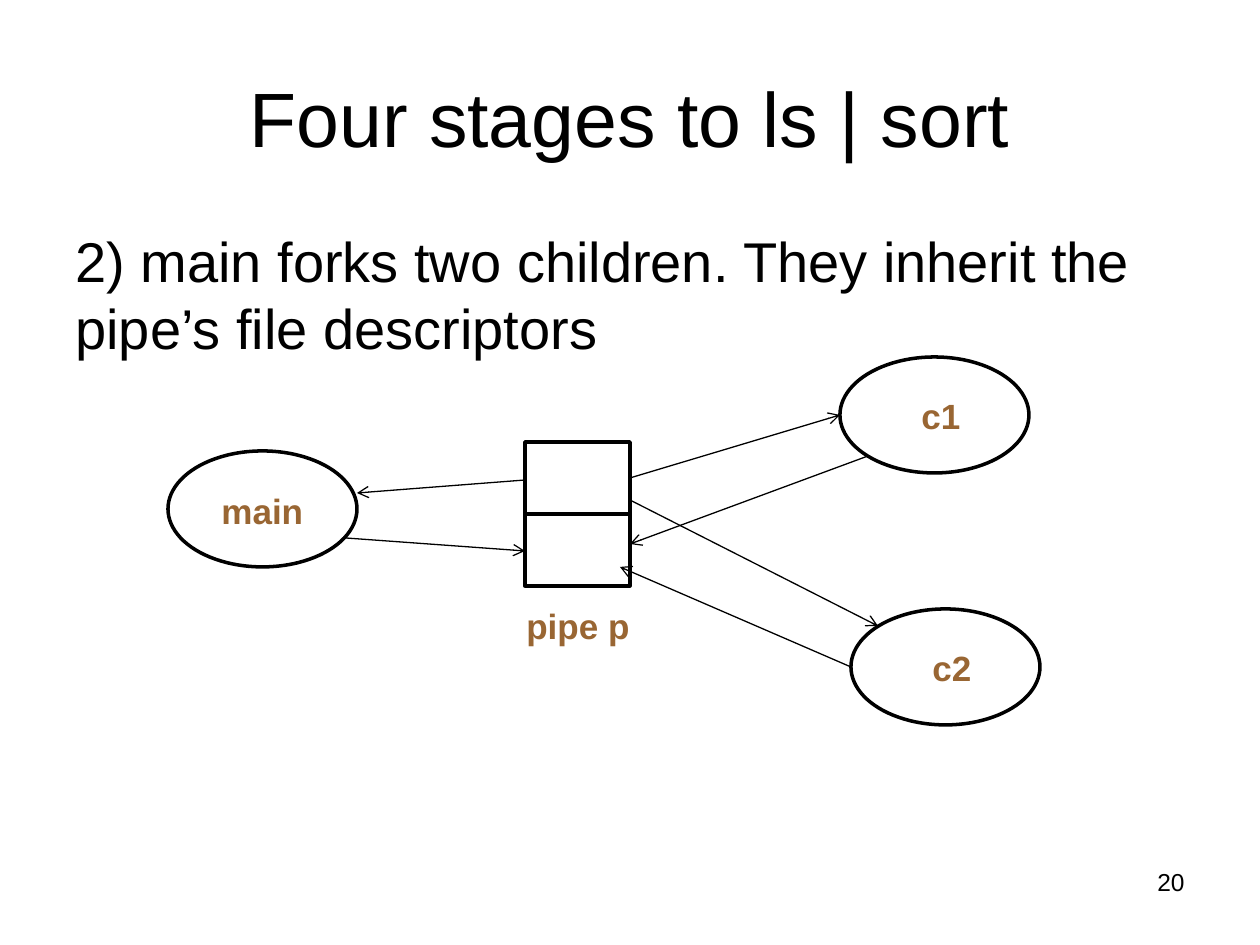
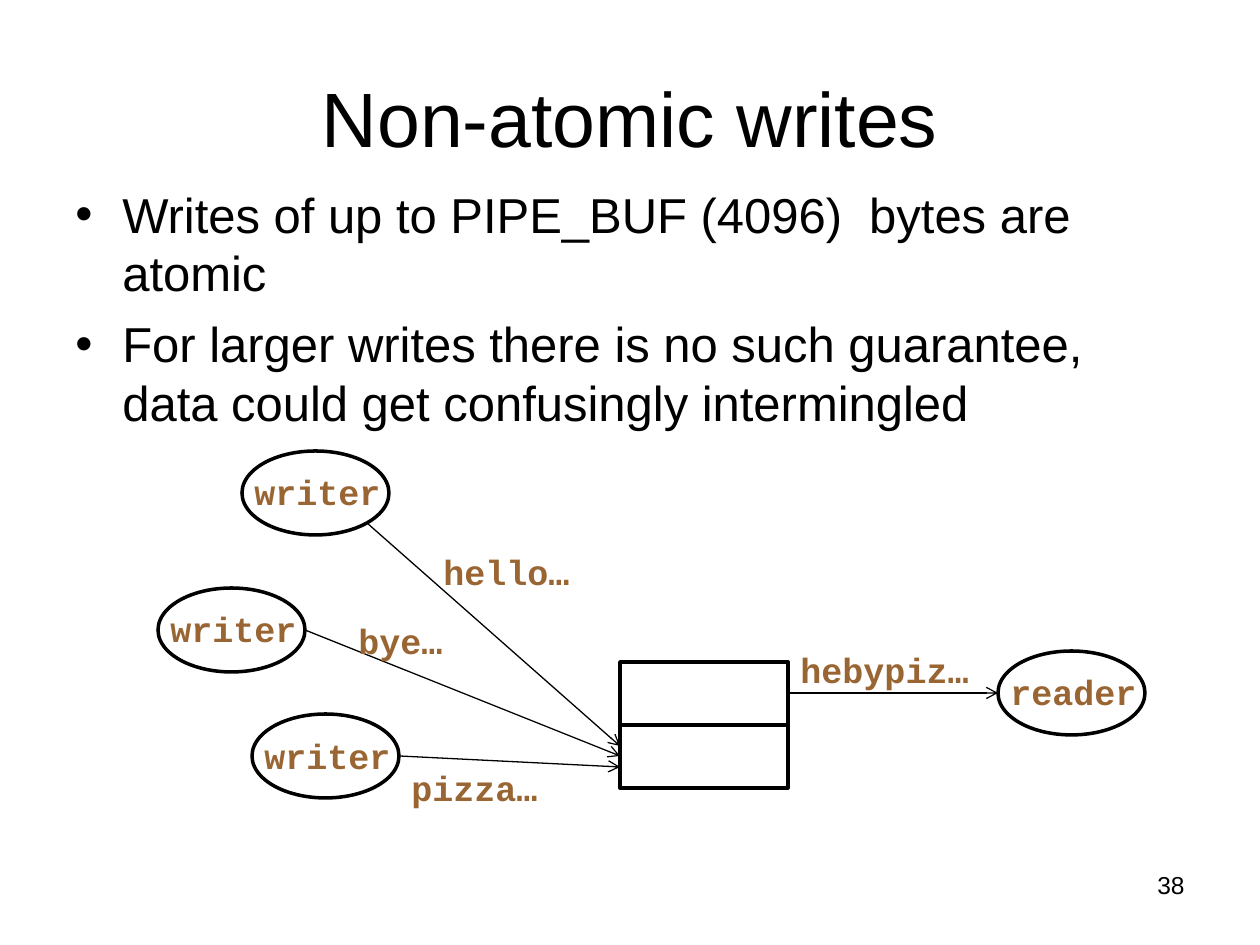
from lxml.etree import SubElement
from pptx import Presentation
from pptx.dml.color import RGBColor
from pptx.enum.shapes import MSO_CONNECTOR, MSO_SHAPE
from pptx.enum.text import MSO_ANCHOR, PP_ALIGN
from pptx.oxml.ns import qn
from pptx.util import Emu, Pt

PX = 914400 // 126
COLORS = {"ink": "000000", "paper": "FFFFFF", "label": "996633"}
LINE_HEIGHT = {"Arial": 1.2, "Courier New": 1.32}
TITLE_BOX = (63, 38, 1134, 157)
BULLET_INDENT = 47
LABEL_HEIGHT = 55

# Boxes are (left, top, width, height); labels are (text, left, top, width, indent);
# arrows are (from x, from y, to x, to y). All lengths are px.
SLIDES = [
    {
        "title": "Four stages to ls | sort",
        "body": ["2) main forks two children. They inherit the pipe’s file descriptors"],
        "body_box": (63, 220, 1134, 624),
        "body_size": 32,
        "space_before": 8,
        "bulleted": False,
        "number": "20",
        "number_box": (903, 861, 294, 66),
        "pipe": (525, 442, 105, 144),
        "process_size": (189, 116),
        "processes": [(168, 451), (840, 357), (851, 609)],
        "label_font": "Arial",
        "labels": [
            ("main", 189, 483, 220, 20),
            ("pipe p", 514, 598, 210, 0),
            ("c1", 861, 388, 220, 48),
            ("c2", 872, 640, 220, 48),
        ],
        "arrows": [
            (525, 480, 357, 493),
            (346, 538, 525, 551),
            (630, 478, 840, 415),
            (868, 456, 630, 544),
            (630, 500, 878, 626),
            (851, 667, 620, 567),
        ],
    },
    {
        "title": "Non-atomic writes",
        "body": [
            "Writes of up to PIPE_BUF (4096)  bytes are atomic",
            "For larger writes there is no such guarantee, "
            "data could get confusingly intermingled",
        ],
        "body_box": (63, 178, 1134, 624),
        "body_size": 28,
        "space_before": 7,
        "bulleted": True,
        "number": "38",
        "number_box": (903, 864, 294, 50),
        "pipe": (620, 662, 168, 126),
        "process_size": (147, 84),
        "processes": [(242, 451), (158, 588), (252, 714), (998, 651)],
        "label_font": "Courier New",
        "labels": [
            ("hello…", 431, 540, 220, 0),
            ("bye…", 346, 609, 220, 0),
            ("pizza…", 399, 756, 220, 0),
            ("hebypiz…", 788, 638, 220, 0),
            ("writer", 242, 460, 179, 0),
            ("writer", 158, 597, 179, 0),
            ("writer", 252, 724, 179, 0),
            ("reader", 998, 660, 179, 0),
        ],
        "arrows": [
            (367, 523, 620, 746),
            (305, 630, 620, 756),
            (399, 756, 620, 767),
            (788, 693, 998, 693),
        ],
    },
]


def emu(*lengths):
    return [Emu(length * PX) for length in lengths]


def color(name):
    return RGBColor.from_string(COLORS[name])


def write(paragraph, text, size, font="Arial", ink="ink", bold=False, align=PP_ALIGN.LEFT):
    paragraph.alignment = align
    paragraph.line_spacing = Pt(size * LINE_HEIGHT[font])
    run = paragraph.add_run()
    run.text = text
    run.font.name = font
    run.font.size = Pt(size)
    run.font.bold = bold
    run.font.color.rgb = color(ink)


def set_indent(paragraph, left, first=0):
    properties = paragraph._p.get_or_add_pPr()
    properties.set("marL", str(left * PX))
    properties.set("indent", str(first * PX))
    return properties


def add_text_frame(slide, box):
    frame = slide.shapes.add_textbox(*emu(*box)).text_frame
    frame.word_wrap = True
    return frame


def add_title(slide, text):
    title = slide.shapes.title
    title.left, title.top, title.width, title.height = emu(*TITLE_BOX)
    title.text_frame.vertical_anchor = MSO_ANCHOR.MIDDLE
    write(title.text_frame.paragraphs[0], text, 44, align=PP_ALIGN.CENTER)


def add_body(slide, content):
    frame = add_text_frame(slide, content["body_box"])
    for index, text in enumerate(content["body"]):
        paragraph = frame.add_paragraph() if index else frame.paragraphs[0]
        write(paragraph, text, content["body_size"])
        if index:
            paragraph.space_before = Pt(content["space_before"])
        if content["bulleted"]:
            properties = set_indent(paragraph, BULLET_INDENT, -BULLET_INDENT)
            SubElement(properties, qn("a:buFont")).set("typeface", "Arial")
            SubElement(properties, qn("a:buChar")).set("char", "•")


def add_outlined(slide, kind, box):
    shape = slide.shapes.add_shape(kind, *emu(*box))
    shape.shadow.inherit = False
    shape.fill.solid()
    shape.fill.fore_color.rgb = color("paper")
    shape.line.color.rgb = color("ink")
    shape.line.width = Pt(2)


def add_pipe(slide, box):
    """Stack the read end and the write end as two equal halves."""
    left, top, width, height = box
    half = height // 2
    for end in range(2):
        add_outlined(slide, MSO_SHAPE.RECTANGLE, (left, top + end * half, width, half))


def add_arrow(slide, ends):
    arrow = slide.shapes.add_connector(MSO_CONNECTOR.STRAIGHT, *emu(*ends))
    arrow.line.color.rgb = color("ink")
    arrow.line.width = Pt(0.75)
    SubElement(arrow.line._get_or_add_ln(), qn("a:tailEnd")).set("type", "arrow")
    SubElement(arrow._element.spPr, qn("a:effectLst"))


def add_label(slide, font, text, left, top, width, indent):
    paragraph = add_text_frame(slide, (left, top, width, LABEL_HEIGHT)).paragraphs[0]
    write(paragraph, text, 20, font, "label", bold=True)
    set_indent(paragraph, indent)


def add_number(slide, content):
    frame = add_text_frame(slide, content["number_box"])
    write(frame.paragraphs[0], content["number"], 14, align=PP_ALIGN.RIGHT)


def build_slide(deck, content):
    slide = deck.slides.add_slide(deck.slide_layouts[5])
    slide.background.fill.solid()
    slide.background.fill.fore_color.rgb = color("paper")
    add_title(slide, content["title"])
    add_body(slide, content)
    add_number(slide, content)
    add_pipe(slide, content["pipe"])
    for corner in content["processes"]:
        add_outlined(slide, MSO_SHAPE.OVAL, corner + content["process_size"])
    for ends in content["arrows"]:
        add_arrow(slide, ends)
    for label in content["labels"]:
        add_label(slide, content["label_font"], *label)


def main():
    deck = Presentation()
    deck.slide_width, deck.slide_height = emu(1260, 945)
    for content in SLIDES:
        build_slide(deck, content)
    deck.save("out.pptx")


if __name__ == "__main__":
    main()
